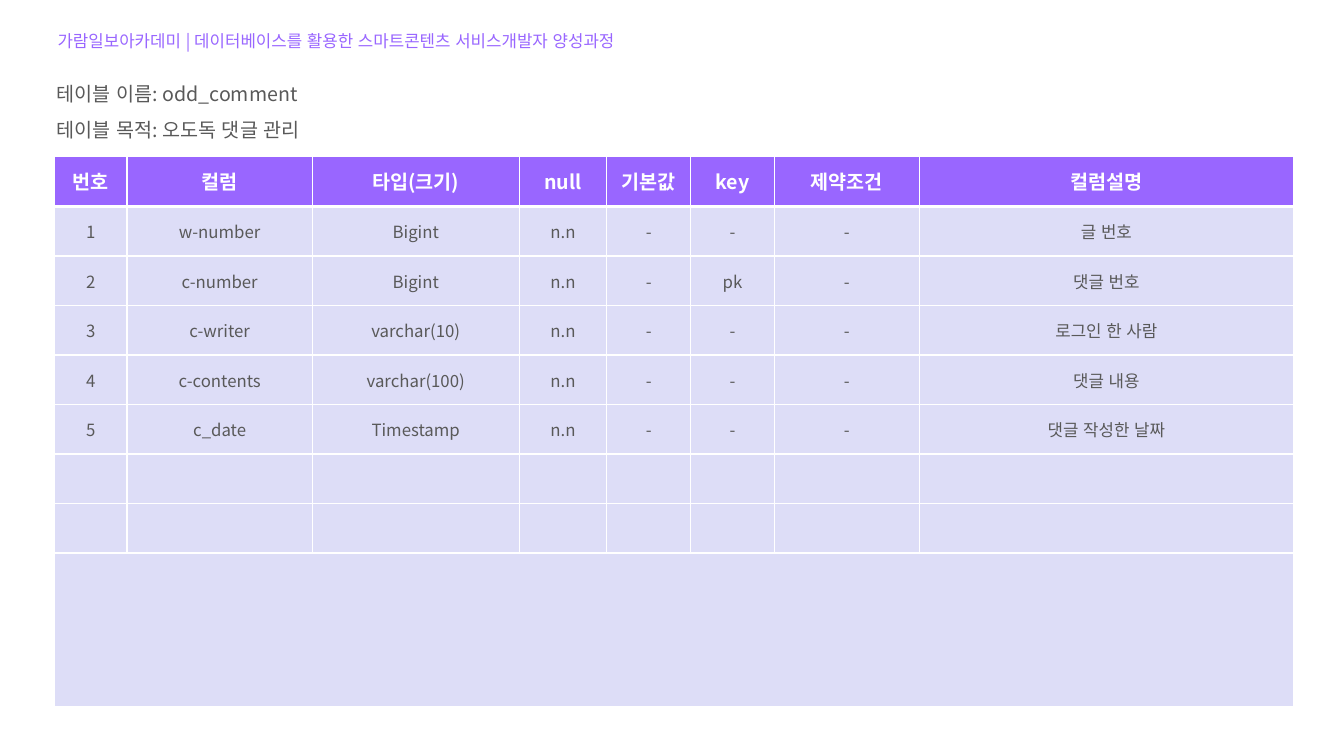
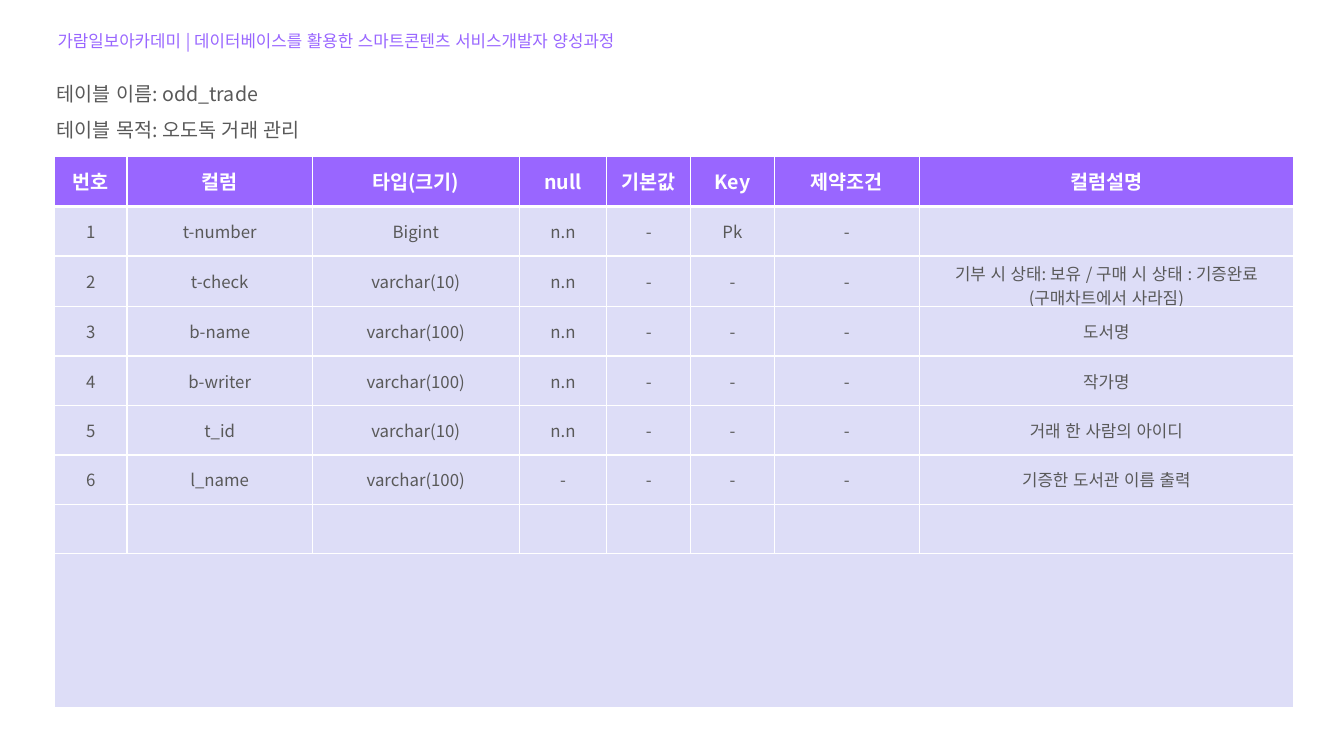
from dataclasses import dataclass
from typing import Any, NamedTuple

from lxml.etree import SubElement
from pptx import Presentation
from pptx.dml.color import RGBColor
from pptx.enum.lang import MSO_LANGUAGE_ID
from pptx.enum.text import MSO_ANCHOR, MSO_AUTO_SIZE, PP_ALIGN
from pptx.oxml import parse_xml
from pptx.oxml.ns import nsdecls, qn
from pptx.util import Inches, Pt

WIDE, HIGH = Inches(13.33), Inches(7.5)
FACE = "Noto Sans CJK KR"
VIOLET, PALE, GRAY, WHITE = "9966FF", "DDDDF7", "595959", "FFFFFF"
COLS = (5.4, 13.8, 15.38, 6.53, 6.23, 6.23, 10.8, 27.83)
ROWS = (6.65, *[6.55] * 7, 20.27)
COURSE = "가람일보아카데미 | 데이터베이스를 활용한 스마트콘텐츠 서비스개발자 양성과정"


class Box(NamedTuple):
    """Place on the slide, in percent of its width and height."""
    left: float
    top: float
    width: float
    height: float


class Look(NamedTuple):
    """Text colour and the values set on the font and paragraph."""
    color: str
    font: dict[str, Any]
    para: dict[str, Any]


@dataclass
class Field:
    """One column of a database table."""
    name: str
    kind: str
    note: str
    key: str = "-"
    null: str = "n.n"


@dataclass
class Sheet:
    """One slide that describes a database table."""
    name: str
    goal: str
    key: str
    fields: list[Field]


BASE = {"name": FACE, "bold": False, "language_id": MSO_LANGUAGE_ID.KOREAN}
LINE = {"alignment": PP_ALIGN.LEFT, "line_spacing": 1.5, "space_before": Pt(0)}
MID = {"alignment": PP_ALIGN.CENTER}
COVER = Look(VIOLET, BASE | {"size": Pt(12)}, LINE)
INTRO = Look(GRAY, BASE | {"size": Pt(14)}, LINE)
HEAD = Look(WHITE, BASE | {"size": Pt(14), "bold": True}, MID)
CELL = Look(GRAY, BASE | {"size": Pt(12)}, MID)
FRAME = {"word_wrap": True, "vertical_anchor": MSO_ANCHOR.TOP,
         "auto_size": MSO_AUTO_SIZE.SHAPE_TO_FIT_TEXT}

TOP = Box(3.53, 2, 87.02, 4.67)
LEAD = Box(3.45, 8.67, 87.02, 10)
GRID = Box(4.05, 20.67, sum(COLS), sum(ROWS))

SHEETS = [
    Sheet("odd_comment", "오도독 댓글 관리", "key", [
        Field("w-number", "Bigint", "글 번호"),
        Field("c-number", "Bigint", "댓글 번호", "pk"),
        Field("c-writer", "varchar(10)", "로그인 한 사람"),
        Field("c-contents", "varchar(100)", "댓글 내용"),
        Field("c_date", "Timestamp", "댓글 작성한 날짜"),
    ]),
    Sheet("odd_trade", "오도독 거래 관리", "Key", [
        Field("t-number", "Bigint", "", "Pk"),
        Field("t-check", "varchar(10)",
              "기부 시 상태: 보유 / 구매 시 상태 : 기증완료\n(구매차트에서 사라짐)"),
        Field("b-name", "varchar(100)", "도서명"),
        Field("b-writer", "varchar(100)", "작가명"),
        Field("t_id", "varchar(10)", "거래 한 사람의 아이디"),
        Field("l_name", "varchar(100)", "기증한 도서관 이름 출력", null="-"),
    ]),
]


def paint(part: Any, code: str) -> None:
    """Give a fill a solid colour."""
    part.solid()
    part.fore_color.rgb = RGBColor.from_string(code)


def apply(part: Any, values: dict[str, Any]) -> None:
    """Set each named value on an object."""
    for name, value in values.items():
        setattr(part, name, value)


def place(box: Box) -> dict[str, int]:
    """Turn shares of the slide into lengths."""
    sides = (WIDE, HIGH, WIDE, HIGH)
    return {name: int(side * share / 100)
            for name, side, share in zip(Box._fields, sides, box)}


def write(frame: Any, text: str, look: Look) -> None:
    """Fill a text frame with styled paragraphs."""
    frame.text = text
    for para in frame.paragraphs:
        apply(para, look.para)
        for run in para.runs:
            apply(run.font, look.font)
            paint(run.font.fill, look.color)
            SubElement(run.font._element, qn("a:ea"), typeface=FACE)
            latin = run.font._element.find(qn("a:latin"))
            latin.addnext(run.font._element.find(qn("a:ea")))


def fill(shape: Any, box: Box, text: str, look: Look) -> None:
    """Place a placeholder and write plain lines in it."""
    apply(shape, place(box))
    apply(shape.text_frame, FRAME)
    write(shape.text_frame, text, look)
    for para in shape.text_frame.paragraphs:
        props = para._p.get_or_add_pPr()
        props.set("marL", "0")
        props.set("indent", "0")
        SubElement(props, qn("a:buNone"))


def edge(cell: Any, base: float) -> None:
    """Draw white borders around a cell."""
    props = cell._tc.get_or_add_tcPr()
    for spot, (side, width) in enumerate(zip("LRTB", (1, 1, 1, base))):
        props.insert(spot, parse_xml(
            f'<a:ln{side} {nsdecls("a")} w="{Pt(width)}"><a:solidFill>'
            f'<a:srgbClr val="{WHITE}"/></a:solidFill></a:ln{side}>'))


def chart(slide: Any, sheet: Sheet) -> None:
    """Draw the table of fields."""
    data = [("번호", "컬럼", "타입(크기)", "null", "기본값", sheet.key,
             "제약조건", "컬럼설명")]
    data += [(str(num), item.name, item.kind, item.null, "-", item.key,
              "-", item.note) for num, item in enumerate(sheet.fields, 1)]
    data += [("",) * len(COLS)] * (len(ROWS) - len(data))
    table = slide.shapes.add_table(
        len(ROWS), len(COLS), **place(GRID)).table
    table.horz_banding = False
    for col, share in zip(table.columns, COLS):
        col.width = int(WIDE * share / 100)
    for num, (row, share, texts) in enumerate(zip(table.rows, ROWS, data)):
        row.height = int(HIGH * share / 100)
        look, color, base = (CELL, PALE, 1) if num else (HEAD, VIOLET, 3)
        for cell, text in zip(row.cells, texts):
            cell.vertical_anchor = MSO_ANCHOR.MIDDLE
            write(cell.text_frame, text, look)
            paint(cell.fill, color)
            edge(cell, base)
    last = len(ROWS) - 1
    table.cell(last, 0).merge(table.cell(last, len(COLS) - 1))


def build(deck: Any, sheet: Sheet) -> None:
    """Add one slide."""
    slide = deck.slides.add_slide(deck.slide_layouts[1])
    paint(slide.background.fill, WHITE)
    fill(slide.shapes.title, TOP, COURSE, COVER)
    intro = f"테이블 이름: {sheet.name}\n테이블 목적: {sheet.goal}"
    fill(slide.placeholders[1], LEAD, intro, INTRO)
    chart(slide, sheet)


def main() -> None:
    """Build and save the deck."""
    deck = Presentation()
    apply(deck, {"slide_width": WIDE, "slide_height": HIGH})
    for sheet in SHEETS:
        build(deck, sheet)
    deck.save("out.pptx")


main()
